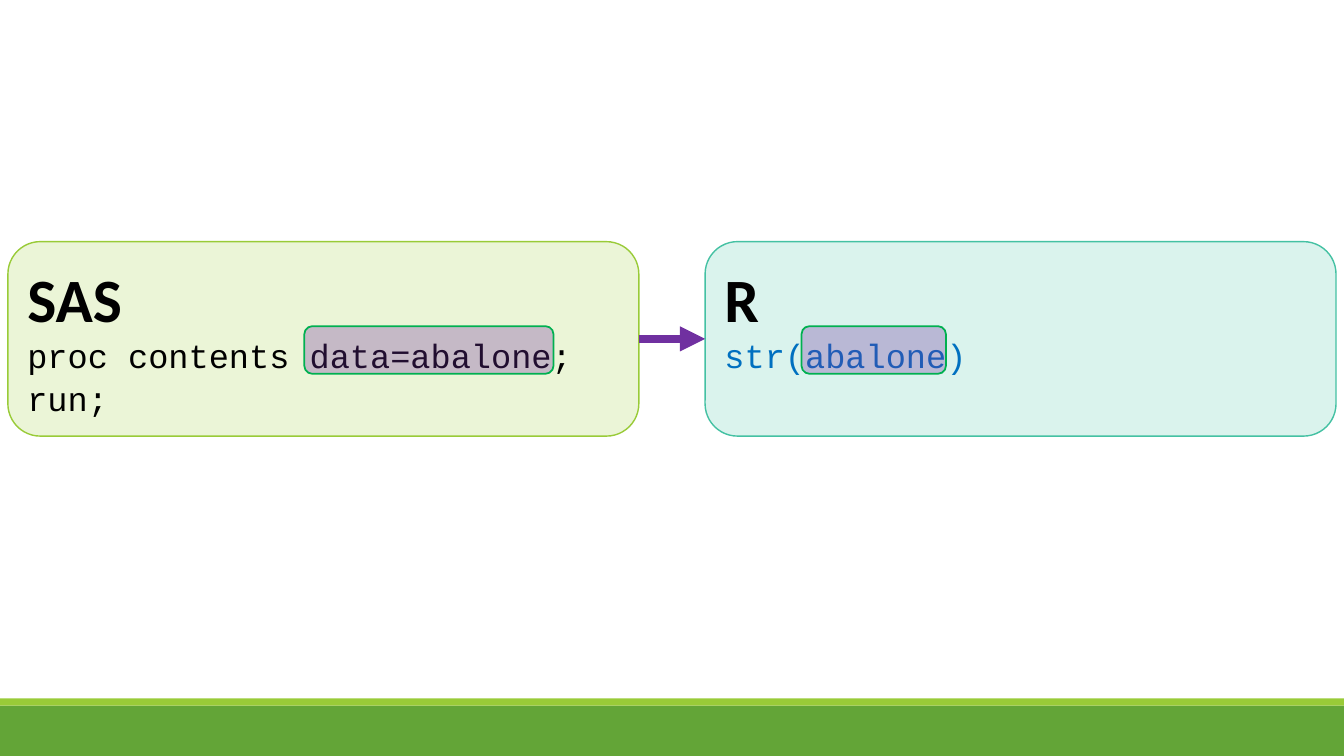
import dataclasses

import pptx
import pptx.dml.color
import pptx.enum.shapes
import pptx.enum.text
import pptx.oxml
import pptx.oxml.ns
import pptx.util

Cm = pptx.util.Cm
Pt = pptx.util.Pt
Shapes = pptx.enum.shapes.MSO_SHAPE


@dataclasses.dataclass(frozen=True)
class Theme:
    footer: str = "63A537"
    lime: str = "99CB38"
    lime_pale: str = "EBF5D7"
    teal: str = "44C1A3"
    teal_pale: str = "DAF3ED"
    purple: str = "7030A0"
    green: str = "00B050"
    black: str = "000000"
    code_blue: str = "0070C0"
    title_font: str = "Calibri"
    code_font: str = "Courier New"
    title_size: int = 44
    code_size: int = 24


def rgb(color):
    return pptx.dml.color.RGBColor.from_string(color)


def add_child(parent, tag, **attributes):
    child = pptx.oxml.parse_xml(f"<a:{tag} {pptx.oxml.ns.nsdecls('a')}/>")
    for name, value in attributes.items():
        child.set(name, value)
    parent.append(child)


class SlideBuilder:
    def __init__(self, slide, theme):
        self.slide = slide
        self.theme = theme

    def box(self, kind, left, top, width, height, fill, line=None, line_width=1):
        shape = self.slide.shapes.add_shape(
            kind, Cm(left), Cm(top), Cm(width), Cm(height))
        shape.shadow.inherit = False
        shape.fill.solid()
        shape.fill.fore_color.rgb = rgb(fill)
        if line:
            shape.line.color.rgb = rgb(line)
            shape.line.width = Pt(line_width)
        else:
            shape.line.fill.background()
        return shape

    def code_panel(self, left, top, width, height, fill, line, title, code, code_color):
        """Rounded panel with a bold language name above its lines of code."""
        panel = self.box(Shapes.ROUNDED_RECTANGLE, left, top, width, height, fill, line)
        frame = panel.text_frame
        frame.word_wrap = True
        frame.vertical_anchor = pptx.enum.text.MSO_ANCHOR.TOP
        frame.margin_top = Cm(0.25)
        frame.text = "\n".join([title, *code])
        for index, para in enumerate(frame.paragraphs):
            para.alignment = pptx.enum.text.PP_ALIGN.LEFT
            if index > 1:
                para.space_before = Pt(2)
            is_title = index == 0
            font = para.runs[0].font
            font.bold = is_title
            font.name = self.theme.title_font if is_title else self.theme.code_font
            font.size = Pt(self.theme.title_size if is_title else self.theme.code_size)
            font.color.rgb = rgb(self.theme.black if is_title else code_color)

    def highlight(self, left, top, width, height):
        """Translucent marker laid over matching pieces of code."""
        marker = self.box(Shapes.ROUNDED_RECTANGLE, left, top, width, height,
                          self.theme.purple, self.theme.green, 1.25)
        color = marker.fill._xPr.find(".//" + pptx.oxml.ns.qn("a:srgbClr"))
        add_child(color, "alpha", val="30000")

    def arrow(self, start, end, y):
        arrow = self.slide.shapes.add_connector(
            pptx.enum.shapes.MSO_CONNECTOR.STRAIGHT, Cm(start), Cm(y), Cm(end), Cm(y))
        arrow.line.color.rgb = rgb(self.theme.purple)
        arrow.line.width = Pt(6)
        add_child(arrow.line._get_or_add_ln(), "tailEnd", type="triangle")
        add_child(arrow._element.spPr, "effectLst")


def main():
    slide_width, slide_height = 33.87, 19.05
    deck = pptx.Presentation()
    deck.slide_width = Cm(slide_width)
    deck.slide_height = Cm(slide_height)
    theme = Theme()
    builder = SlideBuilder(deck.slides.add_slide(deck.slide_layouts[6]), theme)

    footer_height, strip_height = 1.27, 0.18
    footer_top = slide_height - footer_height
    builder.box(Shapes.RECTANGLE, 0, footer_top, slide_width, footer_height, theme.footer)
    builder.box(Shapes.RECTANGLE, 0, footer_top - strip_height, slide_width,
                strip_height, theme.lime)

    margin, panel_top, panel_width, panel_height = 0.2, 6.09, 15.9, 4.9
    r_left = slide_width - margin - panel_width
    builder.code_panel(margin, panel_top, panel_width, panel_height,
                       theme.lime_pale, theme.lime, "SAS",
                       ["proc contents data=abalone;", "run;"], theme.black)
    builder.code_panel(r_left, panel_top, panel_width, panel_height,
                       theme.teal_pale, theme.teal, "R",
                       ["str(abalone)"], theme.code_blue)
    builder.arrow(margin + panel_width, r_left, panel_top + panel_height / 2)

    for left, width in ((7.67, 6.28), (20.2, 3.64)):
        builder.highlight(left, 8.22, width, 1.2)

    deck.save("out.pptx")


if __name__ == "__main__":
    main()
